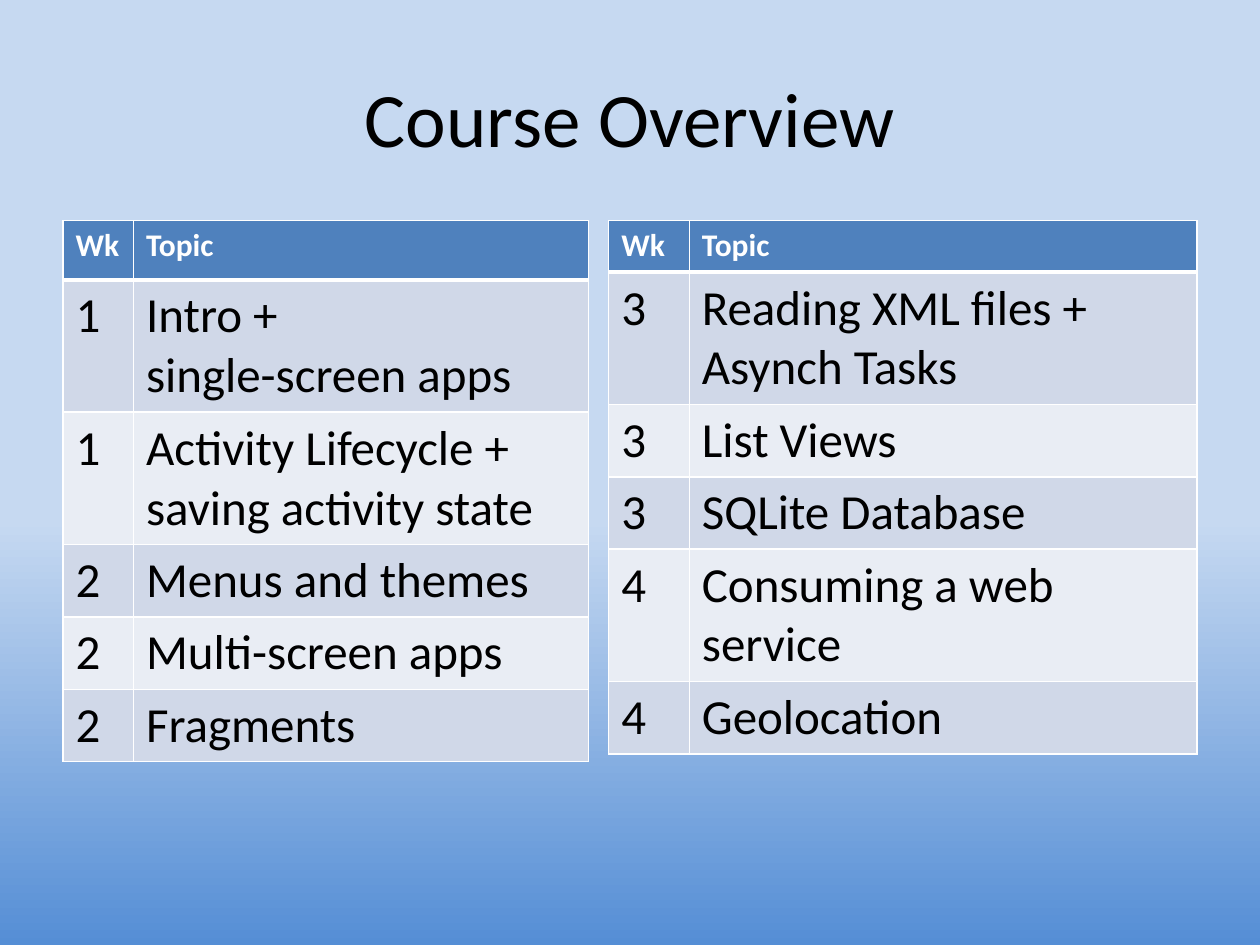
from lxml import etree
from pptx import Presentation
from pptx.dml.color import RGBColor
from pptx.enum.text import MSO_ANCHOR, PP_ALIGN
from pptx.oxml.ns import qn
from pptx.util import Pt

MIDDLE = MSO_ANCHOR.MIDDLE
CENTER = PP_ALIGN.CENTER
FONT = "Calibri"
COLORS = {
    "sky": "C6D9F1",
    "deep": "558ED5",
    "head": "4F81BD",
    "odd": "D0D8E8",
    "even": "E9EDF4",
    "white": "FFFFFF",
    "black": "000000",
}
ONE, TWO = 41.4, 75.6
HEAD = ("Wk", "Topic")
FIRST = [
    ("1", "Intro +\nsingle-screen apps"),
    ("1", "Activity Lifecycle + saving activity state"),
    ("2", "Menus and themes"),
    ("2", "Multi-screen apps"),
    ("2", "Fragments"),
]
LAST = [
    ("3", "Reading XML files + Asynch Tasks"),
    ("3", "List Views"),
    ("3", "SQLite Database"),
    ("4", "Consuming a web service"),
    ("4", "Geolocation"),
]


def rgb(name):
    """Return the named colour."""
    return RGBColor.from_string(COLORS[name])


def write(para, text, size, color, bold=False):
    """Add text to a paragraph, one run for each line."""
    for i, line in enumerate(text.split("\n")):
        if i:
            para.add_line_break()
        run = para.add_run()
        run.text = line
        font = run.font
        font.name, font.size, font.bold = FONT, Pt(size), bold
        font.color.rgb = rgb(color)


def paint(slide):
    """Fill the background with a vertical gradient."""
    fill = slide.background.fill
    fill.gradient()
    fill.gradient_angle = 270
    for stop, name, pos in zip(fill.gradient_stops, ("sky", "deep"), (0.55, 1)):
        stop.color.rgb = rgb(name)
        stop.position = pos


def add_title(slide, text):
    """Add the centred title."""
    box = slide.shapes.add_textbox(Pt(36), Pt(21.6), Pt(648), Pt(90))
    frame = box.text_frame
    frame.word_wrap = True
    frame.vertical_anchor = MIDDLE
    para = frame.paragraphs[0]
    para.alignment = CENTER
    write(para, text, 44, "black")


def edge(cell, row):
    """Draw white cell borders, thick below the header."""
    props = cell._tc.get_or_add_tcPr()
    for side in "LRTB":
        thick = (row, side) in ((0, "B"), (1, "T"))
        line = etree.SubElement(props, qn(f"a:ln{side}"), w=str(Pt(3 if thick else 1)))
        solid = etree.SubElement(line, qn("a:solidFill"))
        etree.SubElement(solid, qn("a:srgbClr"), val=COLORS["white"])


def add_plan(slide, left, widths, heights, items):
    """Add a table of weeks and topics."""
    rows = [HEAD, *items]
    frame = slide.shapes.add_table(
        len(rows), len(widths), Pt(left), Pt(126), Pt(sum(widths)), Pt(sum(heights))
    )
    table = frame.table
    for col, width in zip(table.columns, widths):
        col.width = Pt(width)
    for r, (texts, height) in enumerate(zip(rows, heights)):
        table.rows[r].height = Pt(height)
        shade = "head" if r == 0 else "odd" if r % 2 else "even"
        style = (28, "black") if r else (18, "white", True)
        for c, text in enumerate(texts):
            cell = table.cell(r, c)
            edge(cell, r)
            cell.fill.solid()
            cell.fill.fore_color.rgb = rgb(shade)
            write(cell.text_frame.paragraphs[0], text, *style)


def main():
    """Build and save the slide."""
    deck = Presentation()
    deck.slide_width, deck.slide_height = Pt(720), Pt(540)
    slide = deck.slides.add_slide(deck.slide_layouts[6])
    paint(slide)
    add_title(slide, "Course Overview")
    add_plan(slide, 36, (40.3, 259.9), (34, TWO, TWO, ONE, ONE, ONE), FIRST)
    add_plan(slide, 347.8, (46.1, 290.2), (29.5, TWO, ONE, ONE, TWO, ONE), LAST)
    deck.save("out.pptx")


if __name__ == "__main__":
    main()
